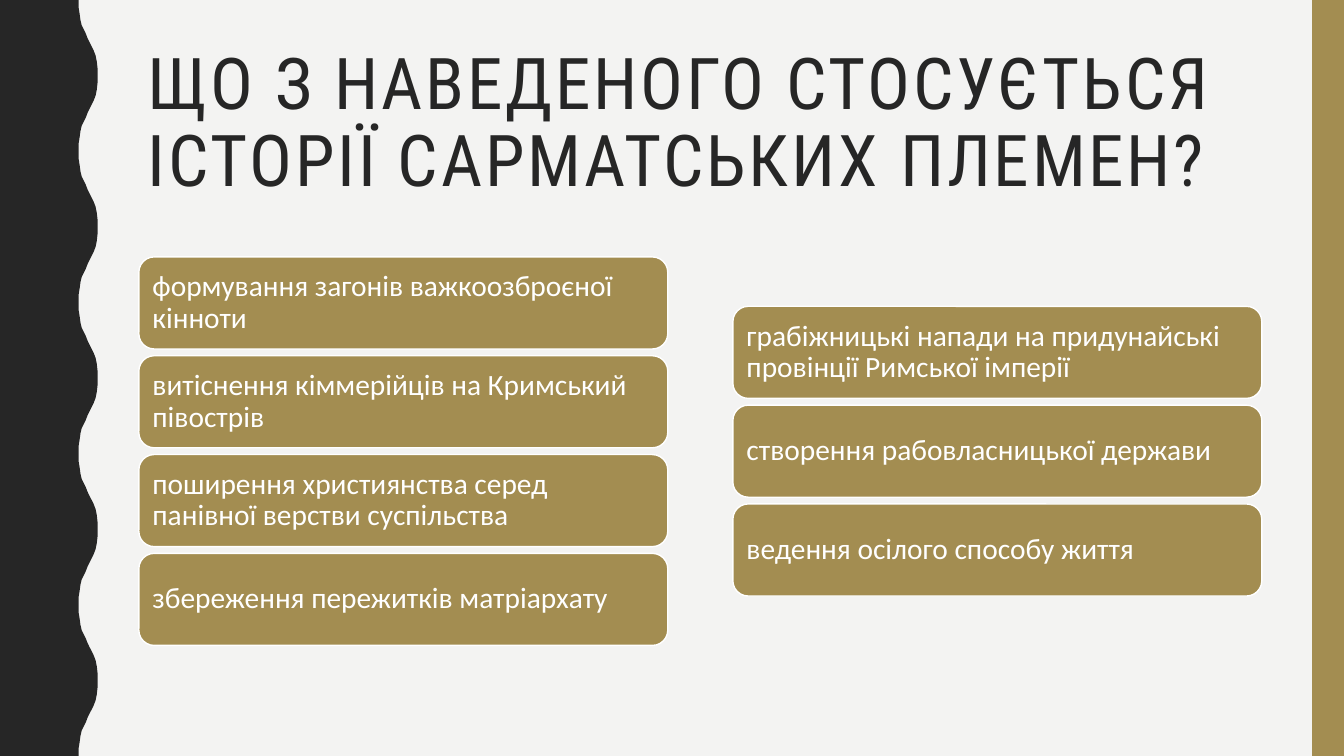
from pptx import Presentation
from pptx.dml.color import RGBColor
from pptx.enum.shapes import MSO_SHAPE as Preset
from pptx.enum.text import MSO_ANCHOR as Anchor, PP_ALIGN as Align
from pptx.util import Cm, Pt

COLORS = {"paper": "F3F3F2", "ink": "262626", "gold": "A38D51", "white": "FFFFFF"}
PAGE_WIDTH, PAGE_HEIGHT = 33.87, 19.05
WAVE_COUNT = 5
WAVE_LENGTH = PAGE_HEIGHT / WAVE_COUNT
HALF_WAVE = [
    (1.98, 0), (1.98, 0.18), (2.01, 0.36), (2.03, 0.51), (2.06, 0.64),
    (2.11, 0.74), (2.16, 0.84), (2.21, 0.97), (2.26, 1.07), (2.31, 1.17),
    (2.36, 1.27), (2.41, 1.4), (2.44, 1.55), (2.46, 1.73), (2.46, 1.9),
]
CARD_WIDTH, CARD_HEIGHT, CARD_PITCH = 13.33, 2.32, 2.49
CARDS_MIDDLE = 11.37
TITLE = "ЩО З НАВЕДЕНОГО СТОСУЄТЬСЯ ІСТОРІЇ САРМАТСЬКИХ ПЛЕМЕН?"
COLUMNS = [
    (3.5, [
        "формування загонів важкоозброєної кінноти",
        "витіснення кіммерійців на Кримський півострів",
        "поширення християнства серед панівної верстви суспільства",
        "збереження пережитків матріархату",
    ]),
    (18.47, [
        "грабіжницькі напади на придунайські провінції Римської імперії",
        "створення рабовласницької держави",
        "ведення осілого способу життя",
    ]),
]


def rgb(name):
    """Return a named colour."""
    return RGBColor.from_string(COLORS[name])


def paint(shape, fill, line=None):
    """Give a shape a flat fill and an optional thin line."""
    shape.shadow.inherit = False
    shape.fill.solid()
    shape.fill.fore_color.rgb = rgb(fill)
    if line:
        shape.line.color.rgb = rgb(line)
        shape.line.width = Pt(1)
    else:
        shape.line.fill.background()


def write(frame, text, font_name, size, color):
    """Write one left-aligned paragraph, centred vertically, and return it."""
    frame.word_wrap = True
    frame.vertical_anchor = Anchor.MIDDLE
    para = frame.paragraphs[0]
    para.text = text
    para.alignment = Align.LEFT
    para.line_spacing = 0.9
    para.font.name = font_name
    para.font.size = Pt(size)
    para.font.color.rgb = rgb(color)
    return para


def add_wavy_edge(page):
    """Draw the dark left band with its wavy side."""
    wave = HALF_WAVE + [(x, WAVE_LENGTH - y) for x, y in reversed(HALF_WAVE[:-1])]
    points = [(x, y + i * WAVE_LENGTH) for i in range(WAVE_COUNT) for x, y in wave]
    points.append((0, PAGE_HEIGHT))
    builder = page.shapes.build_freeform(0, 0)
    builder.add_line_segments([(Cm(x), Cm(y)) for x, y in points], close=True)
    paint(builder.convert_to_shape(), "ink")


def add_side_bar(page):
    """Draw the gold bar at the right edge."""
    left = 33.07
    bar = page.shapes.add_shape(
        Preset.RECTANGLE, Cm(left), 0, Cm(PAGE_WIDTH - left), Cm(PAGE_HEIGHT))
    paint(bar, "gold")


def add_title(page):
    """Add the letter-spaced heading."""
    box = page.shapes.add_textbox(Cm(3.48), Cm(1.07), Cm(28.27), Cm(4.14))
    para = write(box.text_frame, TITLE, "Roboto Condensed", 51, "ink")
    for span in para.runs:
        span._r.get_or_add_rPr().set("spc", "200")


def add_card(page, left, top, text):
    """Add one rounded answer card."""
    card = page.shapes.add_shape(
        Preset.ROUNDED_RECTANGLE, Cm(left), Cm(top), Cm(CARD_WIDTH), Cm(CARD_HEIGHT))
    paint(card, "gold", "white")
    frame = card.text_frame
    frame.margin_left = frame.margin_right = Cm(0.23)
    frame.margin_top = frame.margin_bottom = Cm(0.23)
    write(frame, text, "Calibri", 21, "white")


def add_card_column(page, left, texts):
    """Stack cards evenly around the shared middle line."""
    height = (len(texts) - 1) * CARD_PITCH + CARD_HEIGHT
    for i, text in enumerate(texts):
        add_card(page, left, CARDS_MIDDLE - height / 2 + i * CARD_PITCH, text)


def main():
    """Build and save the slide."""
    deck = Presentation()
    deck.slide_width, deck.slide_height = Cm(PAGE_WIDTH), Cm(PAGE_HEIGHT)
    page = deck.slides.add_slide(deck.slide_layouts[6])
    page.background.fill.solid()
    page.background.fill.fore_color.rgb = rgb("paper")
    add_wavy_edge(page)
    add_side_bar(page)
    add_title(page)
    for left, texts in COLUMNS:
        add_card_column(page, left, texts)
    deck.save("out.pptx")


if __name__ == "__main__":
    main()
